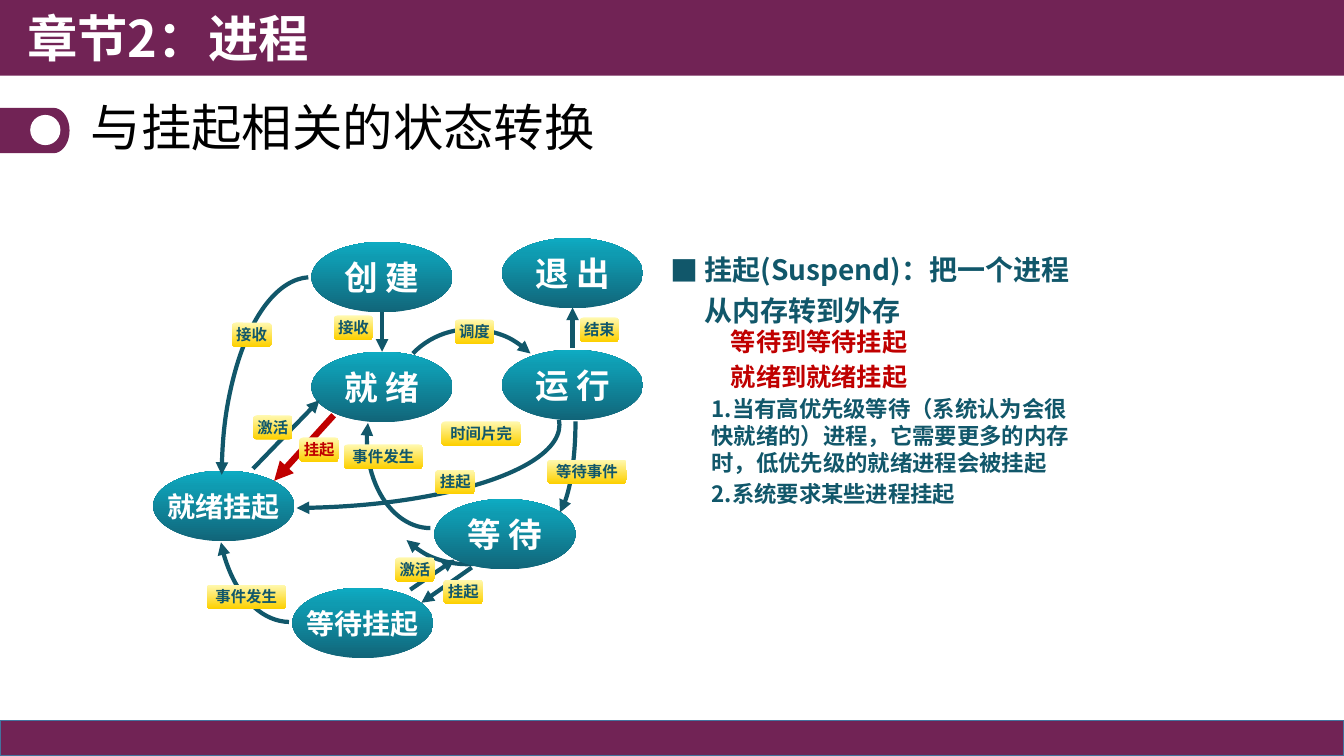
from math import cos, pi, sin

from lxml.etree import SubElement
from pptx import Presentation
from pptx.dml.color import RGBColor
from pptx.enum.shapes import MSO_CONNECTOR, MSO_SHAPE
from pptx.enum.text import MSO_ANCHOR, MSO_AUTO_SIZE, PP_ALIGN
from pptx.oxml.ns import qn
from pptx.util import Inches, Pt

CELL = 0.1  # grid pitch in inches; every position below counts cells
COLS, ROWS = 133.33, 75
FONT = "Noto Sans CJK SC"
PLUM, TEAL, RED, WHITE, BLACK = "712355", "11576A", "C00000", "FFFFFF", "000000"
NODE_STOPS = [(0, "116579"), (77, "0F9BB1"), (100, "0EABC2")]
LABEL_STOPS = [(0, "FFF9B1"), (100, "FDD000")]
NODE_W, NODE_H, LABEL_H = 14, 7, 2.4

NODES = [  # left, top, name, size
    (30.9, 24, "创 建", 24), (49.8, 23.6, "退 出", 24),
    (30.9, 34.9, "就 绪", 24), (49.8, 34.7, "运 行", 24),
    (43.1, 49.5, "等 待", 24), (15.2, 46.7, "就绪挂起", 20),
    (29, 58.3, "等待挂起", 20),
]
ARROWS = [  # from x, y, to x, y, colour, width
    (37.9, 31, 37.9, 34.9, TEAL, 3), (56.8, 34.5, 56.8, 30.5, TEAL, 3),
    (46.8, 56.3, 41.8, 59.8, TEAL, 3), (40.7, 58.5, 45.1, 55.5, TEAL, 3),
    (25.1, 46.5, 31.7, 39.7, TEAL, 3), (33.1, 41.2, 27.2, 47.7, RED, 4.5),
]
BACK_ARCS = [  # box, start and end adjustments, rotation, flips, arrow end
    ((52.1, 32, 5, 19.6), (0.08, 50.35), 0, "", "tail"),
    ((37.7, 38.9, 16.7, 17.2), (160.58, 215.56), 134, "", "tail"),
]
FRONT_ARCS = [
    ((38.9, 32.5, 16.2, 16.8), (162, 0), 314, "", "tail"),
    ((1.6, 33.9, 53.9, 16.5), (215.38, 50.37), 0, "", "tail"),
    ((36.4, 34.8, 12.6, 17.6), (207.14, 54), 0, "H", "head"),
    ((21.6, 39.2, 14.3, 22.5), (15.68, 53.78), 0, "H", "head"),
    ((22, 27.5, 17.7, 39.5), (0.54, 53.54), 0, "HV", "head"),
]
LABELS = [  # left, top, text, colour
    (43.2, 46.6, "挂起", TEAL), (23, 32, "接收", TEAL),
    (20.5, 58, "事件发生", TEAL), (33.1, 31.3, "接收", TEAL),
    (25.1, 41.2, "激活", TEAL), (29.7, 43.4, "挂起", RED),
    (34.1, 44.1, "事件发生", TEAL), (39.2, 55.3, "激活", TEAL),
    (44, 57.5, "挂起", TEAL), (54.3, 45.6, "等待事件", TEAL),
    (43.8, 41.8, "时间片完", TEAL), (45.1, 31.7, "调度", TEAL),
    (57.5, 31.5, "结束", TEAL),
]
POINTS = [  # text, size, colour, line height, space before, indent in cells
    ("挂起(Suspend)：把一个进程从内存转到外存", 20, TEAL, 28.8, 0, 3.4),
    ("等待到等待挂起", 18, RED, 21.6, 0, 6),
    ("就绪到就绪挂起", 18, RED, 21.6, 3, 6),
    ("1.当有高优先级等待（系统认为会很快就绪的）进程，它需要更多的内存时，"
     "低优先级的就绪进程会被挂起", 16, TEAL, 19.2, 3, 4.1),
    ("2.系统要求某些进程挂起", 16, TEAL, 19.2, 3, 4.1),
]


def cells(*counts):
    return [Inches(n * CELL) for n in counts]


def rgb(value):
    return RGBColor.from_string(value)


def add_run(p, text, size, color, bold=True):
    r = p.add_run()
    r.text = text
    r.font.size, r.font.bold, r.font.name = Pt(size), bold, FONT
    r.font.color.rgb = rgb(color)
    SubElement(r.font._element, qn("a:ea"), typeface=FONT)


def paint(sp, fill, line=None):
    sp.shadow.inherit = False
    sp.fill.solid()
    sp.fill.fore_color.rgb = rgb(fill)
    if line:
        sp.line.color.rgb, sp.line.width = rgb(line), Pt(1)
    else:
        sp.line.fill.background()


def add_block(s, kind, box, fill, line=None):
    sp = s.shapes.add_shape(kind, *cells(*box))
    paint(sp, fill, line)
    return sp


def shade(sp, stops, angle):
    """Fill with a linear gradient whose angle runs counter-clockwise."""
    sp.fill.gradient()
    sp.fill.gradient_angle = angle
    gs_lst = sp._element.spPr.find(".//" + qn("a:gsLst"))
    for gs in list(gs_lst):
        gs_lst.remove(gs)
    for share, color in stops:
        gs = SubElement(gs_lst, qn("a:gs"), pos=str(share * 1000))
        SubElement(gs, qn("a:srgbClr"), val=color)


def add_caption(s, kind, box, text, size, color, stops, angle):
    """Add a gradient shape with one centred line of text."""
    sp = add_block(s, kind, box, WHITE)
    shade(sp, stops, angle)
    tf = sp.text_frame
    tf.margin_left = tf.margin_right = tf.margin_top = tf.margin_bottom = 0
    tf.word_wrap, tf.vertical_anchor = False, MSO_ANCHOR.MIDDLE
    p = tf.paragraphs[0]
    p.alignment = PP_ALIGN.CENTER
    add_run(p, text, size, color)


def style_line(sp, color, width, end):
    sp.line.color.rgb, sp.line.width = rgb(color), Pt(width)
    SubElement(sp.line._get_or_add_ln(), qn(f"a:{end}End"), type="triangle")


def add_arrow(s, x1, y1, x2, y2, color, width):
    cn = s.shapes.add_connector(MSO_CONNECTOR.STRAIGHT, *cells(x1, y1, x2, y2))
    style_line(cn, color, width, "tail")
    SubElement(cn._element.spPr, qn("a:effectLst"))


def add_arc(s, box, angles, rotation, flips, end):
    sp = s.shapes.add_shape(MSO_SHAPE.ARC, *cells(*box))
    for i, angle in enumerate(angles):
        sp.adjustments[i] = angle
    sp.rotation = rotation
    for axis in flips:
        sp._element.spPr.find(qn("a:xfrm")).set(f"flip{axis}", "1")
    sp.fill.background()
    style_line(sp, TEAL, 3, end)
    sp.shadow.inherit = False


def add_title_marker(s):
    """Add the tab with a rounded right end and a white dot."""
    cx, cy, rx, ry = 5.3, 12.95, 1.6, 2.25
    angles = [pi * (k / 18 - 0.5) for k in range(19)]
    edge = [cells(cx + rx * cos(a), cy + ry * sin(a)) for a in angles]
    builder = s.shapes.build_freeform(*cells(0, cy - ry))
    builder.add_line_segments(edge + [cells(0, cy + ry)], close=True)
    paint(builder.convert_to_shape(), PLUM)
    add_block(s, MSO_SHAPE.OVAL, (3, 11.4, 3, 3), WHITE)


def place(ph, box, anchor):
    ph.left, ph.top, ph.width, ph.height = cells(*box)
    tf = ph.text_frame
    tf.word_wrap, tf.auto_size = True, MSO_AUTO_SIZE.NONE
    tf.vertical_anchor = anchor
    return tf


def fill_title(s, text):
    p = place(s.shapes.title, (8, 8.7, 100, 8.5), MSO_ANCHOR.MIDDLE).paragraphs[0]
    p.alignment, p.line_spacing = PP_ALIGN.LEFT, 0.9
    add_run(p, text, 36, BLACK, bold=False)


def fill_points(s):
    tf = place(s.placeholders[1], (65.5, 23.9, 42.2, 25), MSO_ANCHOR.TOP)
    for i, (text, size, color, height, before, indent) in enumerate(POINTS):
        p = tf.add_paragraph() if i else tf.paragraphs[0]
        p.line_spacing, p.space_before = Pt(height), Pt(before)
        p.space_after = Pt(0)
        ppr = p._p.get_or_add_pPr()
        margin = cells(indent)[0]
        ppr.set("marL", str(margin))
        ppr.set("indent", "0" if i else str(-margin))
        if i:
            SubElement(ppr, qn("a:buNone"))
        else:
            SubElement(ppr, qn("a:buFont"), typeface="Noto Sans CJK JP")
            SubElement(ppr, qn("a:buChar"), char="■")
        add_run(p, text, size, color)


def add_bars(s, chapter):
    add_block(s, MSO_SHAPE.RECTANGLE, (0, 71.5, COLS, ROWS - 71.5), PLUM, "43739E")
    tf = add_block(s, MSO_SHAPE.RECTANGLE, (0, 0, COLS, 7.5), PLUM).text_frame
    tf.margin_left, tf.vertical_anchor = cells(2.7)[0], MSO_ANCHOR.MIDDLE
    tf.margin_top = tf.margin_bottom = 0
    tf.paragraphs[0].alignment = PP_ALIGN.LEFT
    add_run(tf.paragraphs[0], chapter, 36, WHITE)


def add_state_diagram(s):
    for arc in BACK_ARCS:
        add_arc(s, *arc)
    for x, y, name, size in NODES:
        add_caption(s, MSO_SHAPE.OVAL, (x, y, NODE_W, NODE_H), name, size,
                    WHITE, NODE_STOPS, 90)
    for arc in FRONT_ARCS:
        add_arc(s, *arc)
    for arrow in ARROWS:
        add_arrow(s, *arrow)
    for x, y, text, color in LABELS:
        add_caption(s, MSO_SHAPE.ROUNDED_RECTANGLE,
                    (x, y, 1.97 * len(text), LABEL_H), text, 11, color,
                    LABEL_STOPS, 270)


def main():
    prs = Presentation()
    prs.slide_width, prs.slide_height = cells(COLS, ROWS)
    s = prs.slides.add_slide(prs.slide_layouts[1])
    add_bars(s, "章节2：进程")
    fill_title(s, "与挂起相关的状态转换")
    add_title_marker(s)
    add_state_diagram(s)
    fill_points(s)
    prs.save("out.pptx")


if __name__ == "__main__":
    main()
